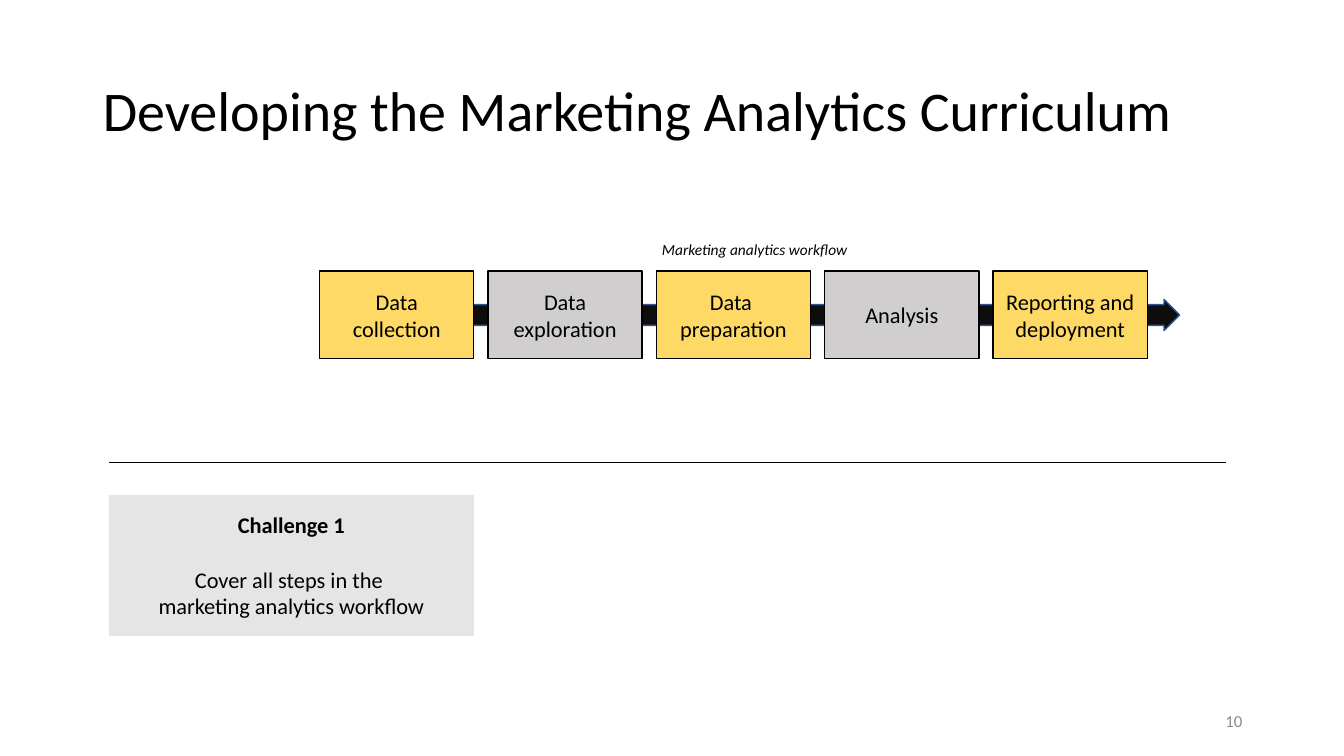
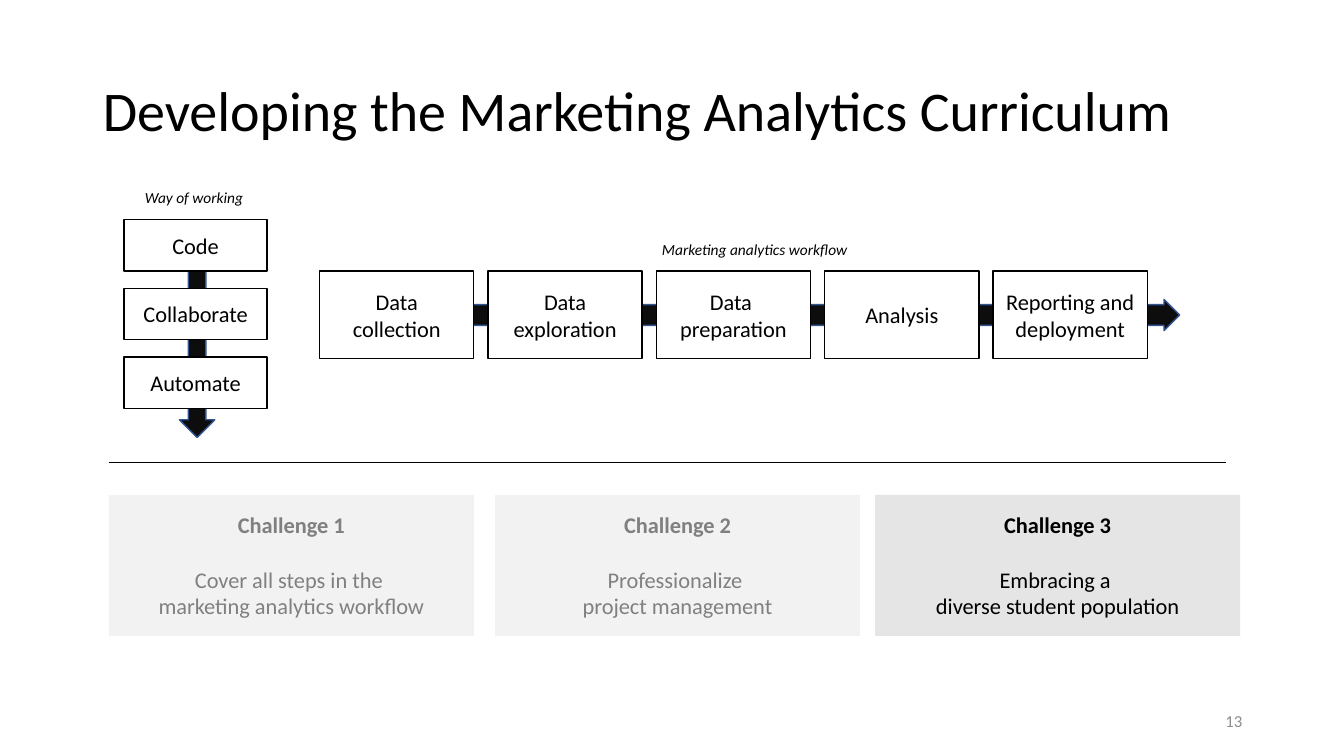
from lxml import etree
from pptx import Presentation
from pptx.dml.color import RGBColor
from pptx.enum import shapes, text
from pptx.oxml import ns
from pptx.util import Inches, Pt

BLACK = RGBColor(0x00, 0x00, 0x00)
WHITE = RGBColor(0xFF, 0xFF, 0xFF)
YELLOW = RGBColor(0xFF, 0xD9, 0x66)
SILVER = RGBColor(0xD0, 0xCE, 0xCE)
CARD_GREY = RGBColor(0xA5, 0xA5, 0xA5)
NUMBER_GREY = RGBColor(0x8C, 0x8C, 0x8C)
ARROW_FILL = RGBColor(0x0D, 0x0D, 0x0D)
ARROW_EDGE = RGBColor(0x32, 0x54, 0x91)
FONT = "Calibri"
BODY_SIZE = 16

TITLE = "Developing the Marketing Analytics Curriculum"
STEPS = [["Data collection"], ["Data exploration"], ["Data ", "preparation"],
         ["Analysis"], ["Reporting and deployment"]]
STEP_LEFT, STEP_PITCH = 3.17, 1.67
HABITS = ["Code", "Collaborate", "Automate"]
HABIT_TOP, HABIT_PITCH = 2.18, 0.68
CHALLENGES = [
    (1.08, "Challenge 1", ["Cover all steps in the ", "marketing analytics workflow"]),
    (4.91, "Challenge 2", ["Professionalize ", "project management"]),
    (8.68, "Challenge 3", ["Embracing a ", "diverse student population"]),
]
SLIDES = [
    {"number": "10", "step_fills": [YELLOW, SILVER], "habits": [], "challenges": 1},
    {"number": "13", "step_fills": [WHITE], "habits": HABITS, "challenges": 3},
]


def add_block(slide, preset, box, fill, edge=None, opacity=None):
    """Add a flat preset shape; box is left, top, width, height in inches."""
    block = slide.shapes.add_shape(preset, *map(Inches, box))
    block.shadow.inherit = False
    block.fill.solid()
    block.fill.fore_color.rgb = fill
    if edge is None:
        block.line.fill.background()
    else:
        block.line.color.rgb = edge
        block.line.width = Pt(1)
    if opacity is not None:
        color = block.fill._xPr.find(".//" + ns.qn("a:srgbClr"))
        etree.SubElement(color, ns.qn("a:alpha"), val=str(opacity * 1000))
    return block


def write(shape, paragraphs, size=BODY_SIZE, color=BLACK, align=text.PP_ALIGN.CENTER,
          anchor=text.MSO_ANCHOR.MIDDLE, wrap=True, bold_first=False, italic=False):
    """Fill a shape with paragraphs, each given as a list of lines."""
    frame = shape.text_frame
    frame.word_wrap = wrap
    frame.vertical_anchor = anchor
    for index, lines in enumerate(paragraphs):
        paragraph = frame.add_paragraph() if index else frame.paragraphs[0]
        paragraph.alignment = align
        for line_index, line in enumerate(lines):
            if line_index:
                paragraph.add_line_break()
            run = paragraph.add_run()
            run.text = line
            run.font.name = FONT
            run.font.size = Pt(size)
            run.font.color.rgb = color
            run.font.bold = bold_first and index == 0
            run.font.italic = italic
    return frame


prs = Presentation()
prs.slide_width, prs.slide_height = Inches(13.33), Inches(7.5)
title_only = prs.slide_layouts[5]
preset = shapes.MSO_SHAPE

for content in SLIDES:
    slide = prs.slides.add_slide(title_only)
    title = slide.shapes.title
    title.left, title.top, title.width, title.height = map(Inches, (0.92, 0.4, 11.5, 1.45))
    write(title, [[TITLE]], size=40, align=text.PP_ALIGN.LEFT)
    title.text_frame.paragraphs[0].line_spacing = 0.9

    # Workflow: five steps on a horizontal arrow
    workflow = add_block(slide, preset.RIGHT_ARROW, (4.51, 2.97, 7.19, 0.31),
                         ARROW_FILL, ARROW_EDGE)
    workflow.adjustments[0] = 0.665
    fills = content["step_fills"]
    for i, step in enumerate(STEPS):
        box = (STEP_LEFT + i * STEP_PITCH, 2.69, 1.53, 0.87)
        block = add_block(slide, preset.RECTANGLE, box, fills[i % len(fills)], BLACK)
        write(block, [[line] for line in step])
    captions = [("Marketing analytics workflow", (4.19, 2.33, 6.59, 0.29))]

    # Way of working: habits on a vertical arrow
    if content["habits"]:
        add_block(slide, preset.DOWN_ARROW, (1.78, 2.44, 0.35, 1.9), ARROW_FILL, ARROW_EDGE)
        captions.append(("Way of working", (1.23, 1.82, 1.39, 0.3)))
    for i, habit in enumerate(content["habits"]):
        box = (1.23, HABIT_TOP + i * HABIT_PITCH, 1.42, 0.51)
        write(add_block(slide, preset.RECTANGLE, box, WHITE, BLACK), [[habit]])

    for caption, box in captions:
        write(slide.shapes.add_textbox(*map(Inches, box)), [[caption]], size=11,
              anchor=text.MSO_ANCHOR.TOP, italic=True)

    divider = slide.shapes.add_connector(
        shapes.MSO_CONNECTOR.STRAIGHT, *map(Inches, (1.08, 4.59, 12.16, 4.59)))
    divider.line.color.rgb = BLACK
    divider.line.width = Pt(0.5)
    etree.SubElement(divider._element.spPr, ns.qn("a:effectLst"))

    # Challenges: a veil fades all but the latest
    shown = CHALLENGES[:content["challenges"]]
    for i, (left, heading, goal) in enumerate(shown):
        if i and i == len(shown) - 1:
            add_block(slide, preset.RECTANGLE, (0.76, 4.76, 7.9, 1.86), WHITE, opacity=50)
        card = add_block(slide, preset.RECTANGLE, (left, 4.91, 3.62, 1.4), CARD_GREY, opacity=28)
        frame = write(card, [[heading], goal], wrap=False, bold_first=True)
        frame.paragraphs[1].space_before = Pt(19.5)

    number = slide.shapes.add_textbox(*map(Inches, (9.42, 6.95, 3, 0.4)))
    write(number, [[content["number"]]], size=12, color=NUMBER_GREY, align=text.PP_ALIGN.RIGHT)

prs.save("out.pptx")
